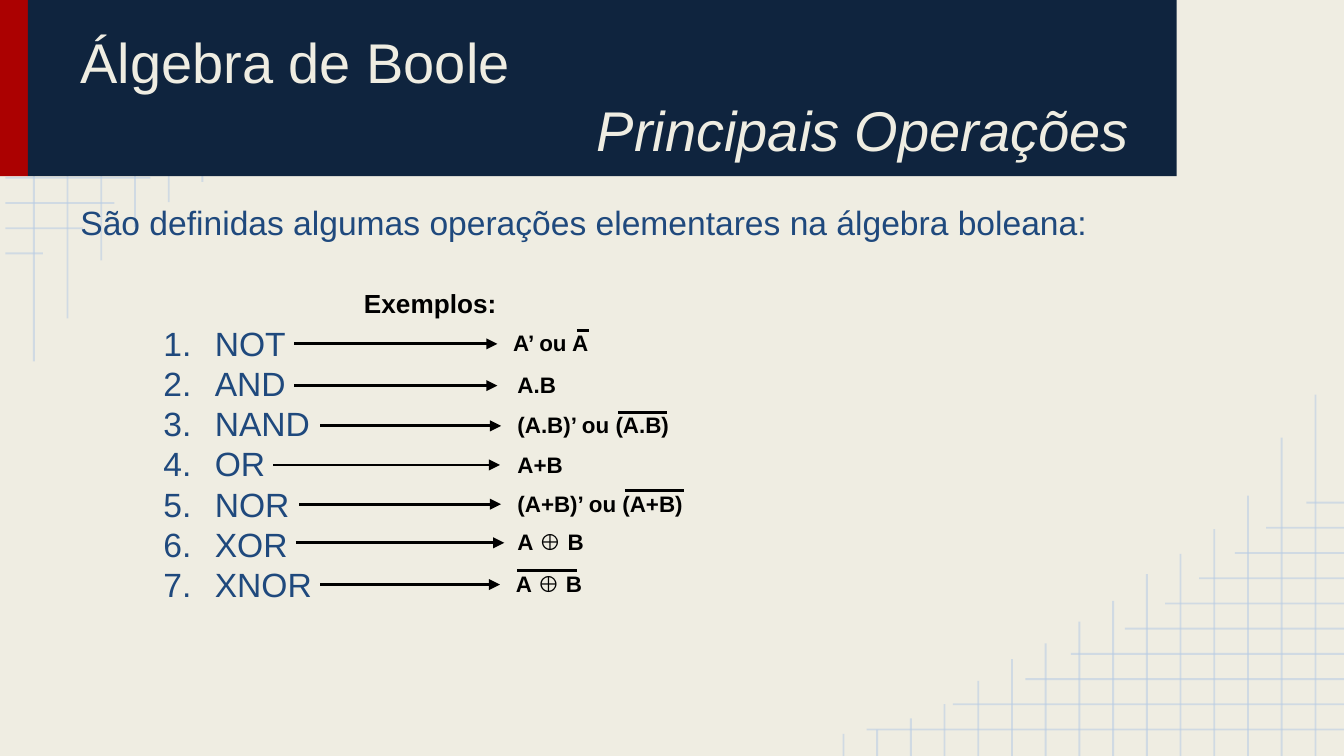
"""Build the slide on the main operations of Boolean algebra."""
from lxml.etree import SubElement
from pptx import Presentation
from pptx.dml.color import RGBColor
from pptx.enum.shapes import MSO_CONNECTOR, MSO_SHAPE
from pptx.enum.text import PP_ALIGN
from pptx.oxml.ns import qn
from pptx.util import Cm, Pt

CREAM = RGBColor(0xEF, 0xED, 0xE2)
NAVY = RGBColor(0x0F, 0x24, 0x3E)
RED = RGBColor(0xAB, 0x01, 0x01)
BLUE = RGBColor(0x1F, 0x49, 0x7D)
PALE = RGBColor(0xB7, 0xCC, 0xE4)
BLACK = RGBColor(0, 0, 0)

WIDTH, HEIGHT = 25.4, 14.29
TITLE = "Álgebra de Boole"
SUBTITLE = "Principais Operações"
INTRO = "São definidas algumas operações elementares na álgebra boleana:"
EXAMPLES = "Exemplos:"

# name, arrow (start, end, y), label (text, left, width), overbar (start, end)
OPERATIONS = [
    ("NOT", (5.56, 9.4, 6.5), ("A’ ou A", 9.45, 5.03), (10.9, 11.13)),
    ("AND", (5.56, 9.4, 7.29), ("A.B", 9.53, 3.96), None),
    ("NAND", (6.05, 9.47, 8.05), ("(A.B)’ ou (A.B)", 9.53, 6.96), (11.68, 12.6)),
    ("OR", (5.16, 9.45, 8.79), ("A+B", 9.53, 3.96), None),
    ("NOR", (5.66, 9.47, 9.53), ("(A+B)’ ou (A+B)", 9.53, 7.82), (11.81, 12.93)),
    ("XOR", (5.59, 9.53, 10.26), ("A ⊕ B", 9.53, 3.96), None),
    ("XNOR", (6.05, 9.45, 11.05), ("A ⊕ B", 9.5, 3.96), (9.78, 10.9)),
]
ROW_LENGTHS = [9.12, 7.49, 6.12, 5.26, 4.24, 3.48, 2.84, 2.16, 1.57, 0.81]
COLUMN_LENGTHS = [6.83, 6.02, 4.92, 4.29, 3.82, 3.44, 2.93, 2.54, 2.13,
                  1.83, 1.42, 0.98, 0.71, 0.5, 0.42]
BANNER_BOTTOM = 3.33


def add_line(s, start, end, color, width, alpha=None, arrow=False):
    points = [Cm(v) for v in (*start, *end)]
    line = s.shapes.add_connector(MSO_CONNECTOR.STRAIGHT, *points)
    line.line.color.rgb = color
    line.line.width = Pt(width)
    ln = line.line._get_or_add_ln()
    if alpha:
        SubElement(ln.find(".//" + qn("a:srgbClr")), qn("a:alpha"), val=str(alpha * 1000))
    if arrow:
        SubElement(ln, qn("a:tailEnd"), type="triangle", w="med", len="med")
    SubElement(line._element.spPr, qn("a:effectLst"))


def add_rect(s, left, width, color):
    sp = s.shapes.add_shape(MSO_SHAPE.RECTANGLE, Cm(left), Cm(0), Cm(width), Cm(BANNER_BOTTOM))
    sp.shadow.inherit = False
    sp.fill.solid()
    sp.fill.fore_color.rgb = color
    sp.line.fill.background()


def add_box(s, left, top, width, height):
    tf = s.shapes.add_textbox(Cm(left), Cm(top), Cm(width), Cm(height)).text_frame
    tf.word_wrap = True
    tf.margin_left = tf.margin_right = tf.margin_top = tf.margin_bottom = Cm(0.25)
    return tf


def add_run(p, text, size, color, bold=False, italic=False):
    r = p.add_run()
    r.text = text
    r.font.name = "Arial"
    r.font.size = Pt(size)
    r.font.color.rgb = color
    r.font.bold = bold
    r.font.italic = italic


def number(p):
    pPr = p._p.get_or_add_pPr()
    pPr.set("marL", str(Cm(2.54)))
    pPr.set("indent", str(-Cm(0.97)))
    SubElement(SubElement(pPr, qn("a:buClr")), qn("a:srgbClr"), val=str(BLUE))
    SubElement(pPr, qn("a:buFont"), typeface="Arial")
    SubElement(pPr, qn("a:buAutoNum"), type="arabicPeriod")


def add_grid(s):
    rows = [((0.1, 0.5 + i * 4.29 / 9), (n, 0.5 + i * 4.29 / 9))
            for i, n in enumerate(ROW_LENGTHS)]
    columns = [((0.64 + i * 8.92 / 14, 0), (0.64 + i * 8.92 / 14, n))
               for i, n in enumerate(COLUMN_LENGTHS)]
    for start, end in rows + columns:
        if end[1] > BANNER_BOTTOM:
            add_line(s, start, end, PALE, 1, alpha=54)
        mirrored = [(WIDTH + 0.1 - x, HEIGHT - y) for x, y in (start, end)]
        add_line(s, *mirrored, PALE, 1, alpha=54)


def add_title(s):
    add_rect(s, 0, 0.53, RED)
    add_rect(s, 0.53, 21.71, NAVY)
    tf = add_box(s, 1.27, 0.28, 20.32, 2.82)
    p = tf.paragraphs[0]
    add_run(p, TITLE, 30, CREAM)
    p.line_spacing = Pt(36)
    p = tf.add_paragraph()
    p.alignment = PP_ALIGN.RIGHT
    p.line_spacing = Pt(36)
    add_run(p, SUBTITLE, 30, CREAM, italic=True)


def add_body(s):
    tf = add_box(s, 1.27, 3.56, 22.86, 10.08)
    p = tf.paragraphs[0]
    p.line_spacing = Pt(21.6)
    add_run(p, INTRO, 18, BLUE)
    for i, (name, *_) in enumerate(OPERATIONS):
        p = tf.add_paragraph()
        p.line_spacing = Pt(21.6)
        p.space_before = Pt(0 if i else 43.2)
        number(p)
        add_run(p, name, 18, BLUE)


def add_examples(s):
    tf = add_box(s, 6.63, 5.18, 3.63, 1.07)
    add_run(tf.paragraphs[0], EXAMPLES, 14, BLACK, bold=True)
    for _, (start, end, y), (text, left, width), bar in OPERATIONS:
        add_line(s, (start, y), (end, y), BLACK, 1.5, arrow=True)
        tf = add_box(s, left, y - 0.52, width, 1.07)
        add_run(tf.paragraphs[0], text, 12, BLACK, bold=True)
        if bar:
            add_line(s, (bar[0], y - 0.26), (bar[1], y - 0.26), BLACK, 1.5)


def main():
    prs = Presentation()
    prs.slide_width, prs.slide_height = Cm(WIDTH), Cm(HEIGHT)
    s = prs.slides.add_slide(prs.slide_layouts[6])
    s.background.fill.solid()
    s.background.fill.fore_color.rgb = CREAM
    add_grid(s)
    add_title(s)
    add_body(s)
    add_examples(s)
    prs.save("out.pptx")


if __name__ == "__main__":
    main()
